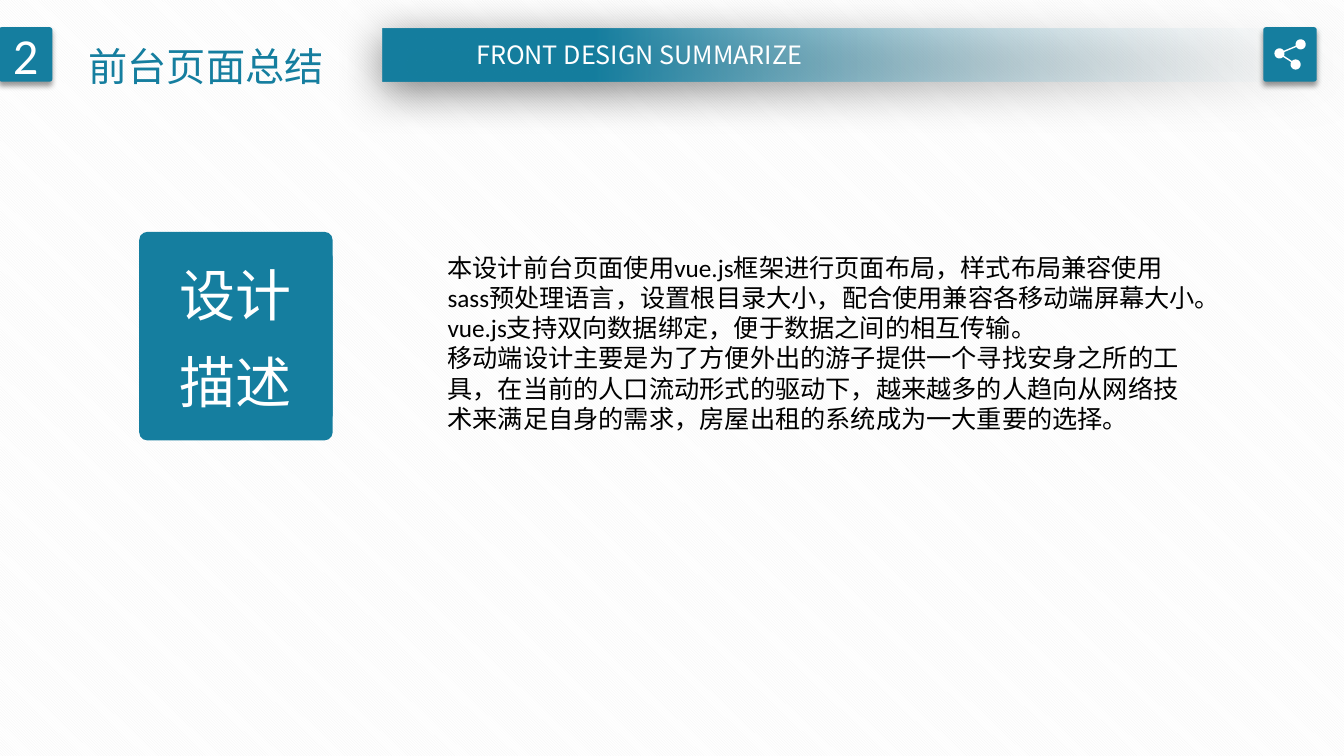
from dataclasses import dataclass
from math import cos, radians, sin
from typing import Optional

from lxml import etree
from pptx import Presentation
from pptx import util as u
from pptx.dml.color import RGBColor
from pptx.enum import dml, shapes, text
from pptx.oxml import ns

TEAL = RGBColor(0x15, 0x7E, 0x9F)
PALE = RGBColor(0xF7, 0xFA, 0xFD)
STRIPE = RGBColor(0xF2, 0xF2, 0xF2)
WHITE = RGBColor(0xFF, 0xFF, 0xFF)
BLACK = RGBColor(0, 0, 0)
SANS = "Noto Sans CJK SC"
LATIN = "Calibri"
CENTER = text.PP_ALIGN.CENTER
LEFT = text.PP_ALIGN.LEFT


@dataclass(frozen=True)
class Shadow:
    opacity: int  # percent
    blur: float  # points
    distance: float  # points
    direction: int  # degrees


@dataclass(frozen=True)
class Panel:
    left: float
    top: float
    width: float
    height: float
    corner: Optional[float] = None
    shadow: Optional[Shadow] = None


@dataclass(frozen=True)
class Words:
    lines: tuple[str, ...]
    size: int
    color: RGBColor
    font: str = SANS
    align: text.PP_ALIGN = LEFT
    spacing: Optional[float] = None
    inset: float = 0.1
    wrap: bool = True


@dataclass(frozen=True)
class Arc:
    x: float
    y: float
    radius: float
    start: int
    end: int


def add_child(parent, tag: str, **attributes):
    return etree.SubElement(parent, ns.qn(tag), {k: str(v) for k, v in attributes.items()})


def cast_shadow(shape, shadow: Shadow) -> None:
    effects = shape._element.spPr.find(ns.qn("a:effectLst"))
    outer = add_child(effects, "a:outerShdw", blurRad=u.Pt(shadow.blur), dist=u.Pt(shadow.distance),
                      dir=shadow.direction * 60000, algn="ctr", rotWithShape=0)
    color = add_child(outer, "a:srgbClr", val=BLACK)
    add_child(color, "a:alpha", val=shadow.opacity * 1000)


def paint(shape, color: RGBColor) -> None:
    shape.shadow.inherit = False
    shape.fill.solid()
    shape.fill.fore_color.rgb = color
    shape.line.fill.background()


def add_panel(parent, panel: Panel):
    kind = shapes.MSO_SHAPE.RECTANGLE if panel.corner is None else shapes.MSO_SHAPE.ROUNDED_RECTANGLE
    shape = parent.add_shape(kind, u.Inches(panel.left), u.Inches(panel.top),
                             u.Inches(panel.width), u.Inches(panel.height))
    if panel.corner is not None:
        shape.adjustments[0] = panel.corner
    paint(shape, TEAL)
    if panel.shadow:
        cast_shadow(shape, panel.shadow)
    return shape


def write(shape, words: Words) -> None:
    frame = shape.text_frame
    frame.word_wrap = words.wrap
    frame.margin_left = u.Inches(words.inset)
    frame.text = "\n".join(words.lines)
    for paragraph in frame.paragraphs:
        paragraph.alignment = words.align
        paragraph.line_spacing = words.spacing
        font = paragraph.font
        font.size = u.Pt(words.size)
        font.name = words.font
        font.color.rgb = words.color


def add_words(parent, left: float, top: float, width: float, height: float, words: Words) -> None:
    box = parent.add_textbox(u.Inches(left), u.Inches(top), u.Inches(width), u.Inches(height))
    write(box, words)


def fade_to_right(bar) -> None:
    bar.fill.gradient()
    bar.fill.gradient_angle = 180
    pale, teal = bar.fill.gradient_stops
    pale.color.rgb, pale.position = PALE, 0
    teal.color.rgb, teal.position = TEAL, 0.78
    clear = bar._element.spPr.find(".//" + ns.qn("a:srgbClr"))
    add_child(clear, "a:alpha", val=0)


def add_share_icon(parent, arcs: tuple[Arc, ...]) -> None:
    points = []
    for arc in arcs:
        steps = max(2, abs(arc.end - arc.start) // 12)
        for step in range(steps + 1):
            angle = radians(arc.start + (arc.end - arc.start) * step / steps)
            points.append((u.Inches(arc.x + arc.radius * cos(angle)),
                           u.Inches(arc.y + arc.radius * sin(angle))))
    outline = parent.build_freeform(*points[0])
    outline.add_line_segments(points[1:], close=True)
    paint(outline.convert_to_shape(), WHITE)


BAR = Panel(3.8, 0.28, 9.53, 0.53, shadow=Shadow(50, 31, 6, 97))
TILE_SHADOW = Shadow(40, 4, 3, 90)
NUMBER_TILE = Panel(-0.01, 0.27, 0.53, 0.54, 0.05, TILE_SHADOW)
SHARE_TILE = Panel(12.53, 0.27, 0.53, 0.54, 0.05, TILE_SHADOW)
CARD_BACK, CARD_FRONT = (Panel(1.38, top, 1.92, 1.9, 0.044) for top in (2.47, 2.3))

# One outline around three nodes and the two links between them
SHARE_ARCS = (
    Arc(12.9, 0.44, 0.05, 148, -196),
    Arc(12.69, 0.53, 0.05, -32, -316),
    Arc(12.85, 0.64, 0.05, 208, -136),
    Arc(12.69, 0.53, 0.05, 28, -16),
)

NUMBER = Words(("2",), 36, WHITE, LATIN, CENTER)
SUBTITLE = Words(("FRONT DESIGN SUMMARIZE",), 18, WHITE, align=CENTER, inset=0.55)
TITLE = Words(("前台页面总结",), 28, TEAL, spacing=1.5, inset=0.19, wrap=False)
CARD = Words(("设计", "描述"), 40, WHITE, align=CENTER, spacing=1.3)
DESCRIPTION = Words((
    "本设计前台页面使用vue.js框架进行页面布局，样式布局兼容使用sass预处理语言，设置根目录大小，配合使用兼容各移动端屏幕大小。",
    "vue.js支持双向数据绑定，便于数据之间的相互传输。",
    "移动端设计主要是为了方便外出的游子提供一个寻找安身之所的工具，在当前的人口流动形式的驱动下，"
    "越来越多的人趋向从网络技术来满足自身的需求，房屋出租的系统成为一大重要的选择。",
), 18, BLACK, LATIN)


def main() -> None:
    deck = Presentation()
    deck.slide_width, deck.slide_height = u.Inches(13.33), u.Inches(7.5)
    slide = deck.slides.add_slide(deck.slide_layouts[6])
    parts = slide.shapes

    # Striped background
    backdrop = slide.background.fill
    backdrop.patterned()
    backdrop.pattern = dml.MSO_PATTERN.DARK_DOWNWARD_DIAGONAL
    backdrop.fore_color.rgb = STRIPE
    backdrop.back_color.rgb = WHITE

    # Header
    fade_to_right(add_panel(parts, BAR))
    write(add_panel(parts, NUMBER_TILE), NUMBER)
    add_words(parts, 3.91, 0.34, 4.41, 0.4, SUBTITLE)
    add_panel(parts, SHARE_TILE)
    add_share_icon(parts, SHARE_ARCS)
    add_words(parts, 0.69, 0.14, 2.73, 0.81, TITLE)

    # Design description
    card = parts.add_group_shape().shapes
    add_panel(card, CARD_BACK)
    write(add_panel(card, CARD_FRONT), CARD)
    add_words(parts, 4.34, 2.45, 7.65, 1.92, DESCRIPTION)

    deck.save("out.pptx")


if __name__ == "__main__":
    main()
